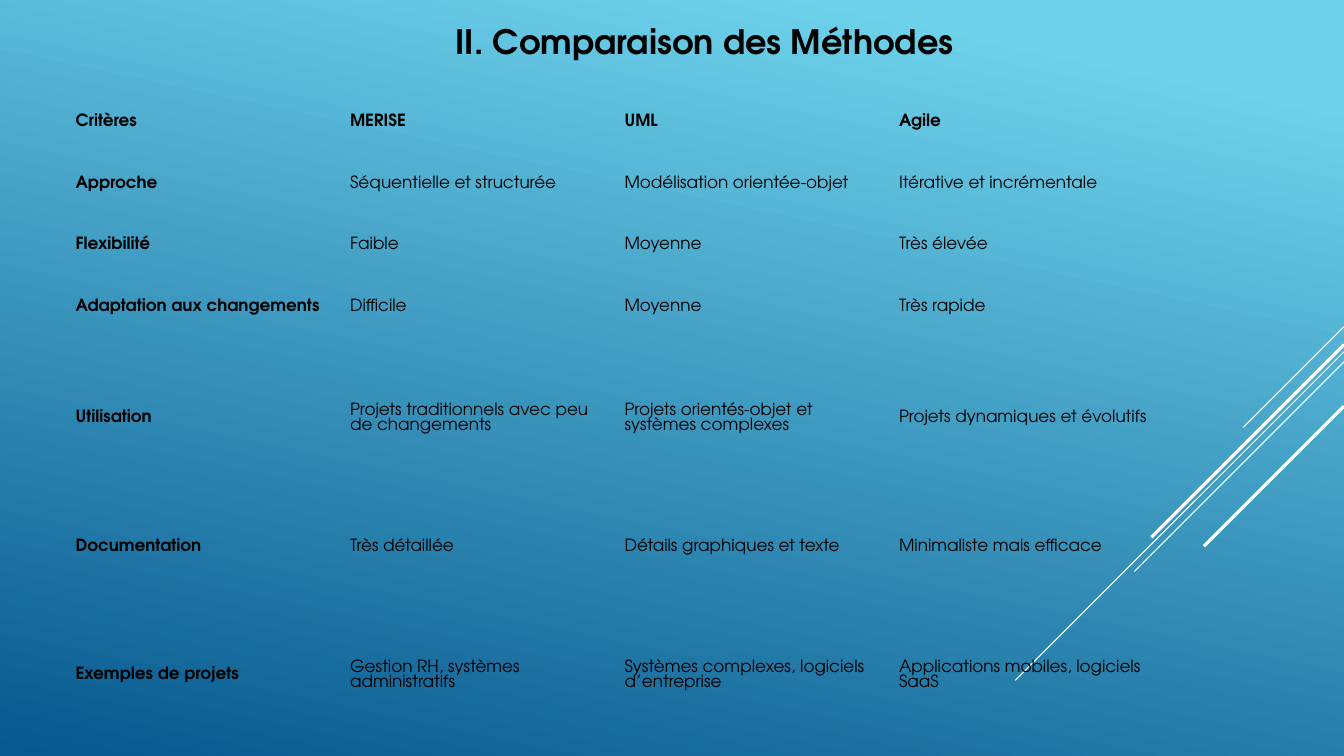
from dataclasses import dataclass

from lxml import etree
from pptx import Presentation
from pptx import util as u
from pptx.dml.color import RGBColor
from pptx.enum import shapes, text
from pptx.oxml.ns import qn


@dataclass(frozen=True)
class Theme:
    font: str = "TeX Gyre Adventor"
    ink: str = "000000"
    streak: str = "FFFFFF"
    sky: str = "6ED2EB"
    sea: str = "06588E"
    title_size: int = 24
    cell_size: int = 12
    plain_table: str = "{2D5ABB26-0587-4C30-8999-92F81FD0307C}"


class SlideBuilder:
    def __init__(self, page, theme):
        self.page = page
        self.theme = theme

    def background(self, angle):
        fill = self.page.background.fill
        fill.gradient()
        fill.gradient_angle = angle
        stops = ((0.1, self.theme.sky), (1, self.theme.sea))
        for stop, (position, color) in zip(fill.gradient_stops, stops):
            stop.position = position
            stop.color.rgb = RGBColor.from_string(color)

    def style(self, para, size, bold):
        para.font.name = self.theme.font
        para.font.size = u.Pt(size)
        para.font.bold = bold
        para.font.color.rgb = RGBColor.from_string(self.theme.ink)

    def title(self, words, left, top, width, height):
        box = self.page.shapes.title
        box.left, box.top = u.Inches(left), u.Inches(top)
        box.width, box.height = u.Inches(width), u.Inches(height)
        frame = box.text_frame
        frame.text = words
        frame.auto_size = text.MSO_AUTO_SIZE.NONE
        frame.vertical_anchor = text.MSO_ANCHOR.TOP
        para = frame.paragraphs[0]
        para.alignment = text.PP_ALIGN.CENTER
        self.style(para, self.theme.title_size, True)

    def streak(self, top, length, weight):
        right = 13.33
        line = self.page.shapes.add_connector(
            shapes.MSO_CONNECTOR.STRAIGHT,
            u.Inches(right), u.Inches(top),
            u.Inches(right - length), u.Inches(top + length))
        line.line.color.rgb = RGBColor.from_string(self.theme.streak)
        line.line.width = u.Pt(weight)
        etree.SubElement(line._element.spPr, qn("a:effectLst"))

    def table(self, rows, left, top, width, heights):
        columns = len(rows[0])
        frame = self.page.shapes.add_table(
            len(rows), columns, u.Inches(left), u.Inches(top),
            u.Inches(width), u.Inches(sum(heights)))
        table = frame.table
        table.horz_banding = False
        next(frame._element.iter(qn("a:tableStyleId"))).text = self.theme.plain_table
        for r, (words, height) in enumerate(zip(rows, heights)):
            table.rows[r].height = u.Inches(height)
            for c, word in enumerate(words):
                self.cell(table.cell(r, c), word, r == 0 or c == 0)

    def cell(self, cell, words, bold):
        cell.fill.background()
        cell.vertical_anchor = text.MSO_ANCHOR.MIDDLE
        cell.margin_left = cell.margin_right = u.Inches(0.07)
        cell.margin_top = cell.margin_bottom = u.Inches(0.03)
        cell.text = words
        self.style(cell.text_frame.paragraphs[0], self.theme.cell_size, bold)


STREAKS = [
    (3.24, 1, 0.75),
    (3.49, 3.26, 0.75),
    (3.59, 2.08, 0.75),
    (3.42, 1.91, 2.25),
    (4.03, 1.39, 2.25),
]

COMPARISON = [
    ("Critères", "MERISE", "UML", "Agile"),
    ("Approche", "Séquentielle et structurée", "Modélisation orientée-objet",
     "Itérative et incrémentale"),
    ("Flexibilité", "Faible", "Moyenne", "Très élevée"),
    ("Adaptation aux changements", "Difficile", "Moyenne", "Très rapide"),
    ("Utilisation", "Projets traditionnels avec peu de changements",
     "Projets orientés-objet et systèmes complexes",
     "Projets dynamiques et évolutifs"),
    ("Documentation", "Très détaillée", "Détails graphiques et texte",
     "Minimaliste mais efficace"),
    ("Exemples de projets", "Gestion RH, systèmes administratifs",
     "Systèmes complexes, logiciels d’entreprise",
     "Applications mobiles, logiciels SaaS"),
]
ROW_HEIGHTS = [0.44, 0.78, 0.44, 0.78, 1.44, 1.11, 1.44]


def main():
    deck = Presentation()
    deck.slide_width, deck.slide_height = u.Inches(13.33), u.Inches(7.5)
    page = deck.slides.add_slide(deck.slide_layouts.get_by_name("Title Only"))
    builder = SlideBuilder(page, Theme())
    builder.background(angle=258)
    for streak in STREAKS:
        builder.streak(*streak)
    builder.table(COMPARISON, 0.68, 0.99, 10.89, ROW_HEIGHTS)
    builder.title("II. Comparaison des Méthodes", 3.86, 0.16, 6.25, 0.81)
    deck.save("out.pptx")


if __name__ == "__main__":
    main()
